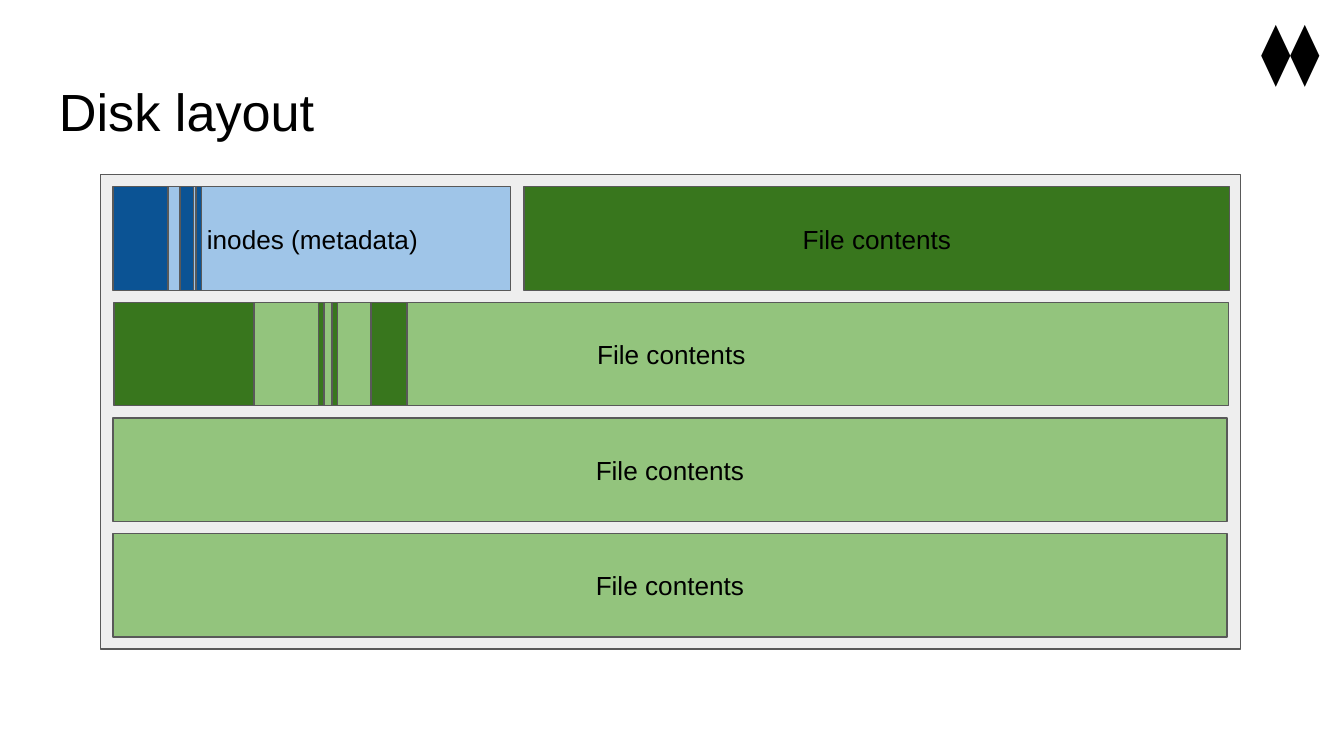
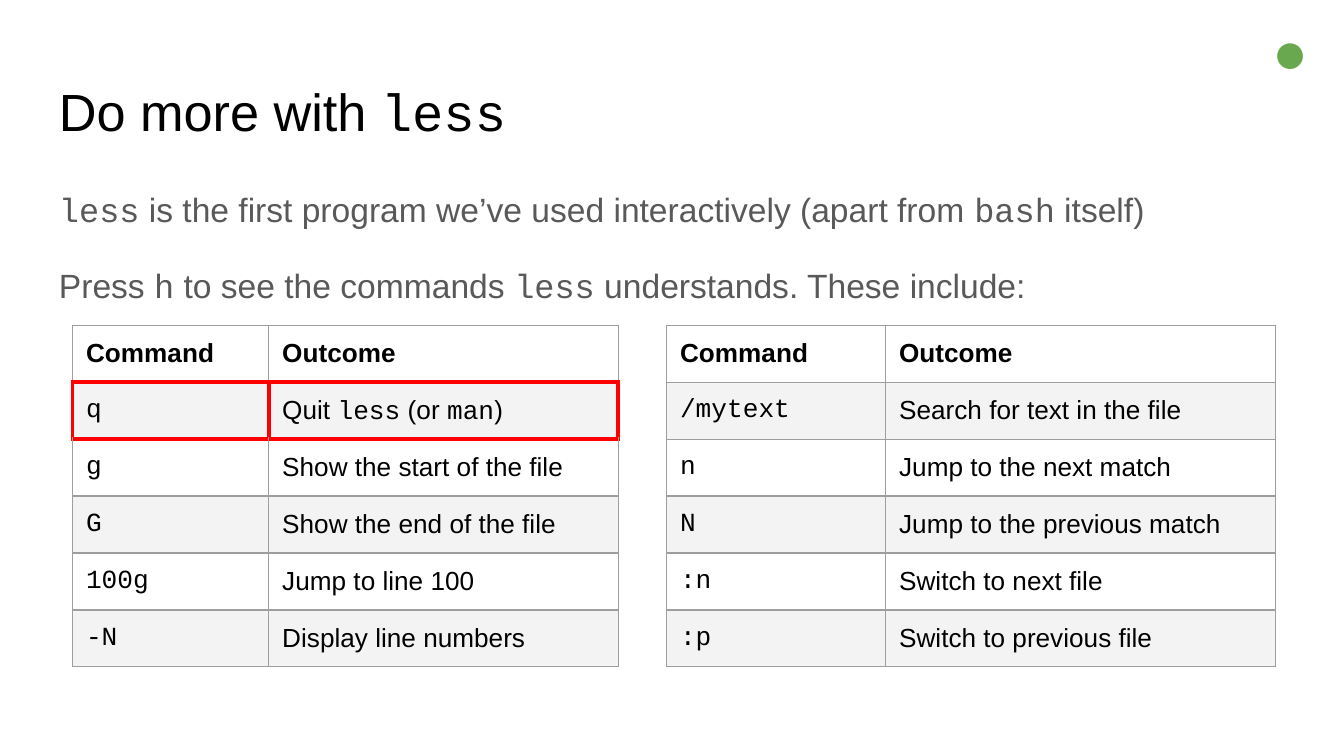
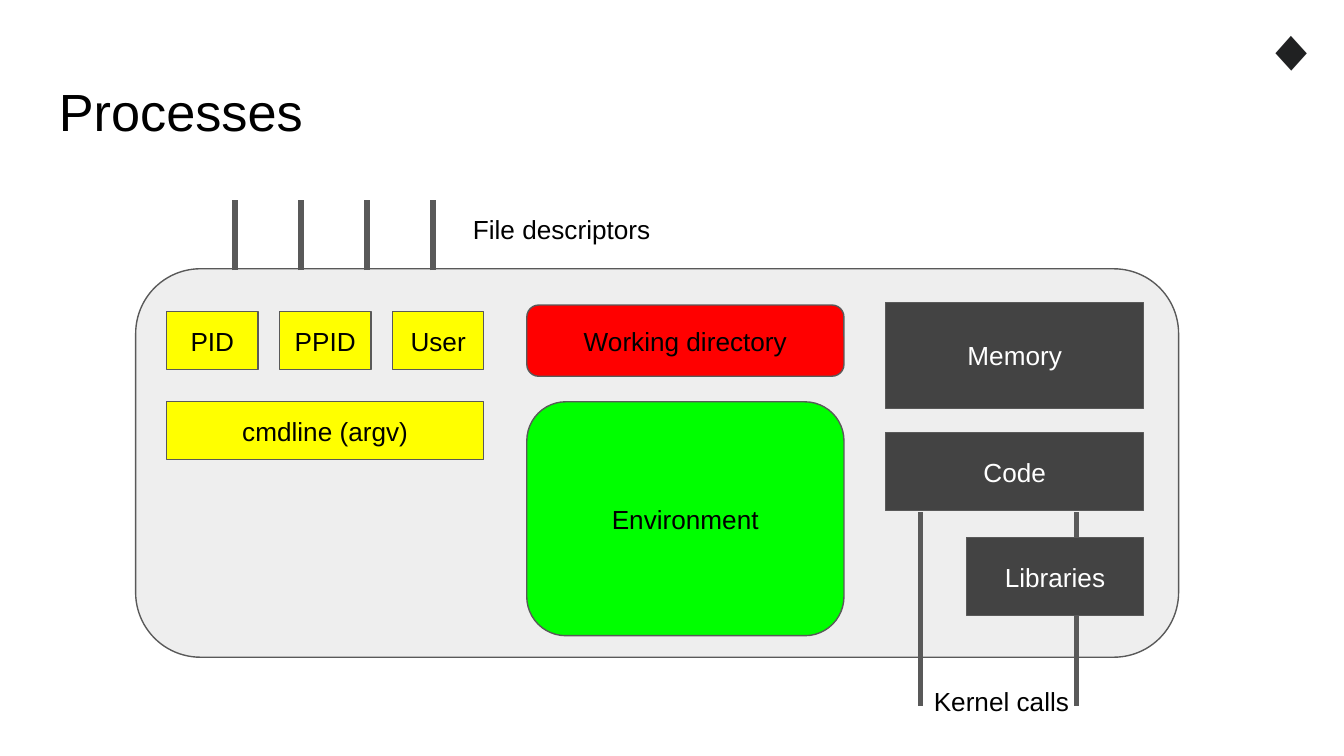
from lxml import etree
from pptx import Presentation
from pptx.dml.color import RGBColor
from pptx.enum.shapes import MSO_CONNECTOR, MSO_SHAPE
from pptx.enum.text import MSO_ANCHOR, PP_ALIGN
from pptx.oxml.ns import qn
from pptx.util import Inches, Pt

RECTANGLE = MSO_SHAPE.RECTANGLE
ROUNDED = MSO_SHAPE.ROUNDED_RECTANGLE
STRAIGHT = MSO_CONNECTOR.STRAIGHT
LEFT, CENTER = PP_ALIGN.LEFT, PP_ALIGN.CENTER
TOP, MIDDLE = MSO_ANCHOR.TOP, MSO_ANCHOR.MIDDLE

SLIDE_WIDTH = Inches(10)
SLIDE_HEIGHT = SLIDE_WIDTH * 9 // 16

COLORS = {
    "black": "000000", "white": "FFFFFF", "outline": "595959", "body": "595959",
    "panel": "EEEEEE", "grid": "9E9E9E", "stripe": "F3F3F3", "highlight": "FF0000",
    "inode free": "9FC5E8", "inode used": "0B5394",
    "block free": "93C47D", "block used": "38761D",
    "identity": "FFFF00", "directory": "FF0000", "environment": "00FF00",
    "program": "434343", "easy": "6AA84F", "hard": "202122",
}
TEXT_FONT, CODE_FONT = "Arial", "Courier New"
INSET = Inches(0.1)
CELL_MARGINS = {"margin_left": INSET, "margin_right": INSET,
                "margin_top": INSET, "margin_bottom": Inches(0.09)}

# Text between backticks is set in the code font
# Slide 1: disk rows as (row, left, width, colour, label)
DISK_PANEL = (0.75, 1.3, 8.48, 3.53)
DISK_TOP, DISK_PITCH, DISK_HEIGHT = 1.39, 0.86, 0.77
DISK_AREAS = [
    (0, 0.85, 2.95, "inode free", "inodes (metadata)"),
    (0, 3.9, 5.25, "block used", "File contents"),
    (1, 0.85, 8.29, "block free", "File contents"),
    (2, 0.84, 8.29, "block free", "File contents"),
    (3, 0.84, 8.29, "block free", "File contents"),
    (0, 0.84, 0.41, "inode used", ""),
    (0, 1.34, 0.1, "inode used", ""),
    (0, 1.46, 0.04, "inode used", ""),
    (1, 0.85, 1.04, "block used", ""),
    (1, 2.76, 0.27, "block used", ""),
    (1, 2.37, 0.04, "block used", ""),
    (1, 2.47, 0.04, "block used", ""),
]

# Slide 2: introduction and command tables
LESS_INTRO = [
    "`less` is the first program we’ve used interactively (apart from `bash` itself)",
    "Press `h` to see the commands `less` understands. These include:",
]
TABLE_TOP, ROW_HEIGHT = 2.42, 0.42
HEADER = ("Command", "Outcome")
COMMAND_TABLES = [
    {"left": 0.54, "columns": (1.46, 2.6), "highlight": 1, "rows": [
        HEADER,
        ("`q`", "Quit `less` (or `man`)"),
        ("`g`", "Show the start of the file"),
        ("`G`", "Show the end of the file"),
        ("`100g`", "Jump to line 100"),
        ("`-N`", "Display line numbers"),
    ]},
    {"left": 4.96, "columns": (1.63, 2.9), "highlight": None, "rows": [
        HEADER,
        ("`/mytext`", "Search for text in the file"),
        ("`n`", "Jump to the next match"),
        ("`N`", "Jump to the previous match"),
        ("`:n`", "Switch to next file"),
        ("`:p`", "Switch to previous file"),
    ]},
]

# Slide 3: parts of a process as (preset, box, colour, label, label colour)
PROCESS_PANEL = (1.01, 2, 7.76, 2.89)
PROGRAM_PARTS = [
    (RECTANGLE, (6.59, 2.25, 1.92, 0.79), "program", "Memory", "white"),
    (RECTANGLE, (6.59, 3.22, 1.92, 0.58), "program", "Code", "white"),
    (RECTANGLE, (7.19, 4, 1.32, 0.58), "program", "Libraries", "white"),
]
CONTEXT_PARTS = [
    (ROUNDED, (3.92, 2.27, 2.36, 0.53), "directory", "Working directory", "black"),
    (ROUNDED, (3.92, 2.99, 2.36, 1.74), "environment", "Environment", "black"),
    (RECTANGLE, (1.24, 2.99, 2.36, 0.43), "identity", "cmdline (argv)", "black"),
]
IDENTITIES = ["PID", "PPID", "User"]
IDENTITY_LEFT, IDENTITY_PITCH = 1.24, 0.84
DESCRIPTOR_COUNT, DESCRIPTOR_LEFT, DESCRIPTOR_PITCH = 4, 1.75, 0.49
DESCRIPTOR_SPAN, KERNEL_SPAN = (2.01, 1.49), (3.81, 5.25)
KERNEL_RIGHT, KERNEL_LEFT = 8.01, 6.85
PROCESS_LABELS = [
    ("Kernel calls", (6.85, 5, 1.63, 0.35)),
    ("File descriptors", (3.42, 1.49, 2.09, 0.35)),
]


def rgb(name):
    return RGBColor.from_string(COLORS[name])


def inches(values):
    return [Inches(value) for value in values]


def apply(target, values):
    for name, value in values.items():
        setattr(target, name, value)


# Text
def write_runs(paragraph, text, size=14, color="black", bold=False):
    for position, part in enumerate(text.split("`")):
        if part:
            run = paragraph.add_run()
            run.text = part
            apply(run.font, {"name": CODE_FONT if position % 2 else TEXT_FONT,
                             "size": Pt(size), "bold": bold})
            run.font.color.rgb = rgb(color)


def write(frame, paragraphs, size=14, color="black", align=LEFT,
          anchor=TOP, line_spacing=None, gap=0):
    apply(frame, {"word_wrap": True, "vertical_anchor": anchor,
                  "margin_left": INSET, "margin_right": INSET,
                  "margin_top": INSET, "margin_bottom": INSET})
    for index, text in enumerate(paragraphs):
        paragraph = frame.add_paragraph() if index else frame.paragraphs[0]
        apply(paragraph, {"alignment": align, "line_spacing": line_spacing,
                          "space_before": Pt(gap if index else 0)})
        write_runs(paragraph, text, size, color)


def add_text(slide, box, paragraphs, **style):
    shape = slide.shapes.add_textbox(*inches(box))
    write(shape.text_frame, paragraphs, **style)


# Shapes and lines
def add_block(slide, preset, box, color, label="", label_color="black"):
    shape = slide.shapes.add_shape(preset, *inches(box))
    shape.shadow.inherit = False
    shape.fill.solid()
    shape.fill.fore_color.rgb = rgb(color)
    shape.line.color.rgb = rgb("outline")
    shape.line.width = Pt(0.75)
    if label:
        write(shape.text_frame, [label], color=label_color, align=CENTER, anchor=MIDDLE)


def add_vertical_line(slide, left, span):
    start, end = span
    line = slide.shapes.add_connector(STRAIGHT, *inches((left, start, left, end)))
    line.line.color.rgb = rgb("outline")
    line.line.width = Pt(3)
    etree.SubElement(line._element.spPr, qn("a:effectLst"))


# Tables
def set_borders(cell, edges):
    properties = cell._tc.get_or_add_tcPr()
    for index, side in enumerate("LRTB"):
        color, width = edges[side]
        border = etree.Element(qn(f"a:ln{side}"), w=str(Pt(width)))
        fill = etree.SubElement(border, qn("a:solidFill"))
        etree.SubElement(fill, qn("a:srgbClr"), val=COLORS[color])
        properties.insert(index, border)


def row_edges(row, highlight):
    plain, strong = ("grid", 0.75), ("highlight", 2.25)
    edges = dict.fromkeys("LRTB", plain)
    if highlight is not None:
        if row == highlight:
            edges = dict.fromkeys("LRTB", strong)
        elif row == highlight - 1:
            edges["B"] = strong
        elif row == highlight + 1:
            edges["T"] = strong
    return edges


def add_command_table(slide, left, columns, highlight, rows):
    box = (left, TABLE_TOP, sum(columns), ROW_HEIGHT * len(rows))
    table = slide.shapes.add_table(len(rows), len(columns), *inches(box)).table
    table.first_row = table.horz_banding = False
    for column, width in zip(table.columns, columns):
        column.width = Inches(width)
    for row, texts in enumerate(rows):
        table.rows[row].height = Inches(ROW_HEIGHT)
        for column, text in enumerate(texts):
            cell = table.cell(row, column)
            if row % 2:
                cell.fill.solid()
                cell.fill.fore_color.rgb = rgb("stripe")
            else:
                cell.fill.background()
            apply(cell, CELL_MARGINS)
            set_borders(cell, row_edges(row, highlight))
            write_runs(cell.text_frame.paragraphs[0], text, bold=row == 0)


# Slides
def add_slide(presentation, title):
    slide = presentation.slides.add_slide(presentation.slide_layouts[6])
    add_text(slide, (0.34, 0.49, 9.32, 0.63), [title], size=28)
    return slide


def add_marker(slide, marker, color):
    add_text(slide, (9.21, 0, 0.79, 0.74), [marker], size=32, color=color, align=CENTER)


def build_disk(presentation):
    slide = add_slide(presentation, "Disk layout")
    add_block(slide, RECTANGLE, DISK_PANEL, "panel")
    for row, left, width, color, label in DISK_AREAS:
        box = (left, DISK_TOP + row * DISK_PITCH, width, DISK_HEIGHT)
        add_block(slide, RECTANGLE, box, color, label)
    add_marker(slide, "⧫⧫", "black")


def build_less(presentation):
    slide = add_slide(presentation, "Do more with `less`")
    add_text(slide, (0.34, 1.26, 9.32, 3.74), LESS_INTRO, size=18, color="body",
             line_spacing=1.15, gap=16)
    for command_table in COMMAND_TABLES:
        add_command_table(slide, **command_table)
    add_marker(slide, "●", "easy")


def build_processes(presentation):
    slide = add_slide(presentation, "Processes")
    add_block(slide, ROUNDED, PROCESS_PANEL, "panel")
    # The right kernel line runs behind the libraries
    for left in (KERNEL_RIGHT, KERNEL_LEFT):
        add_vertical_line(slide, left, KERNEL_SPAN)
    for part in PROGRAM_PARTS + CONTEXT_PARTS:
        add_block(slide, *part)
    for index, label in enumerate(IDENTITIES):
        box = (IDENTITY_LEFT + index * IDENTITY_PITCH, 2.32, 0.68, 0.43)
        add_block(slide, RECTANGLE, box, "identity", label)
    for index in range(DESCRIPTOR_COUNT):
        add_vertical_line(slide, DESCRIPTOR_LEFT + index * DESCRIPTOR_PITCH, DESCRIPTOR_SPAN)
    for label, box in PROCESS_LABELS:
        add_text(slide, box, [label])
    add_marker(slide, "◆", "hard")


def main():
    presentation = Presentation()
    presentation.slide_width = SLIDE_WIDTH
    presentation.slide_height = SLIDE_HEIGHT
    for build in (build_disk, build_less, build_processes):
        build(presentation)
    presentation.save("out.pptx")


if __name__ == "__main__":
    main()
